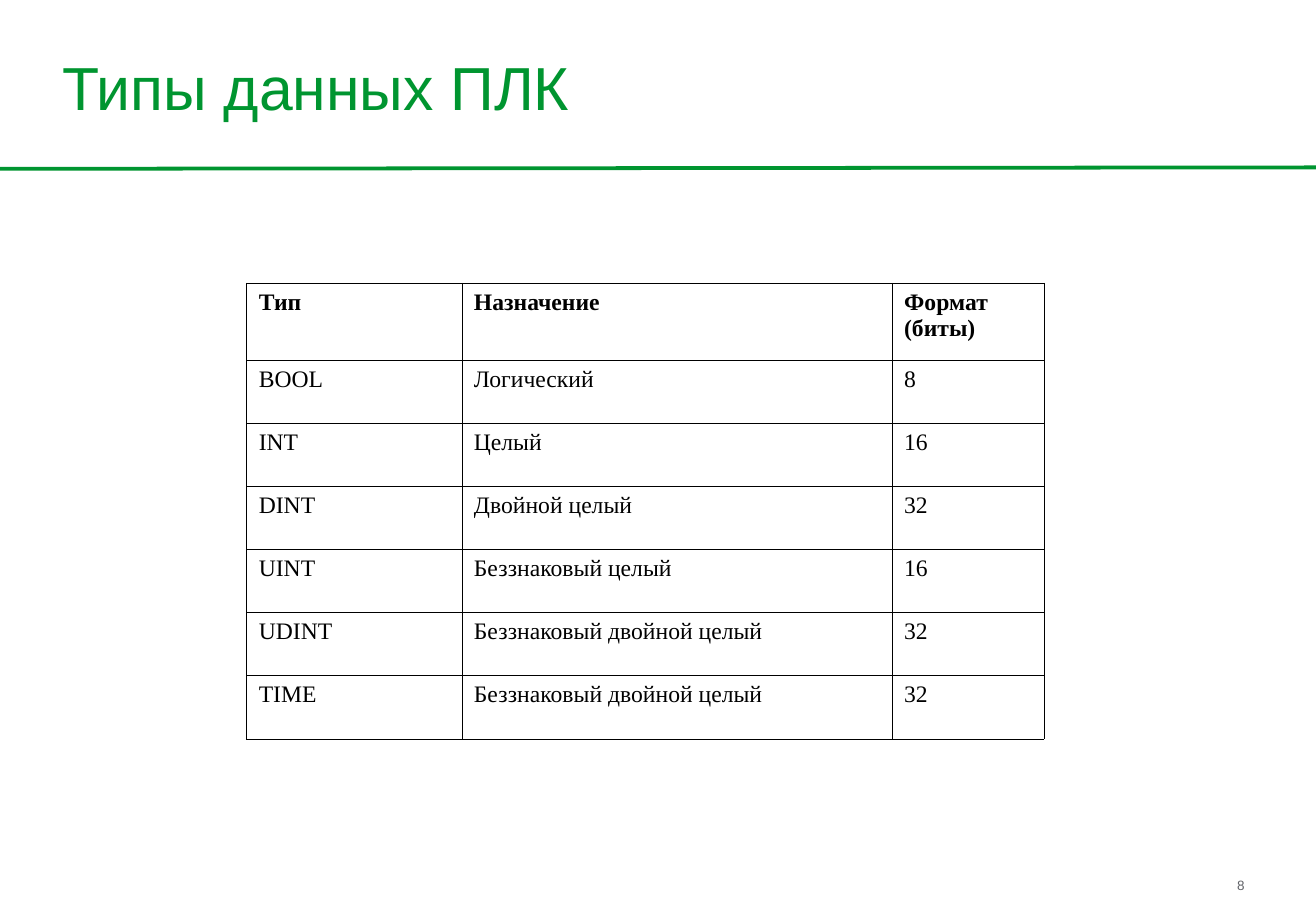
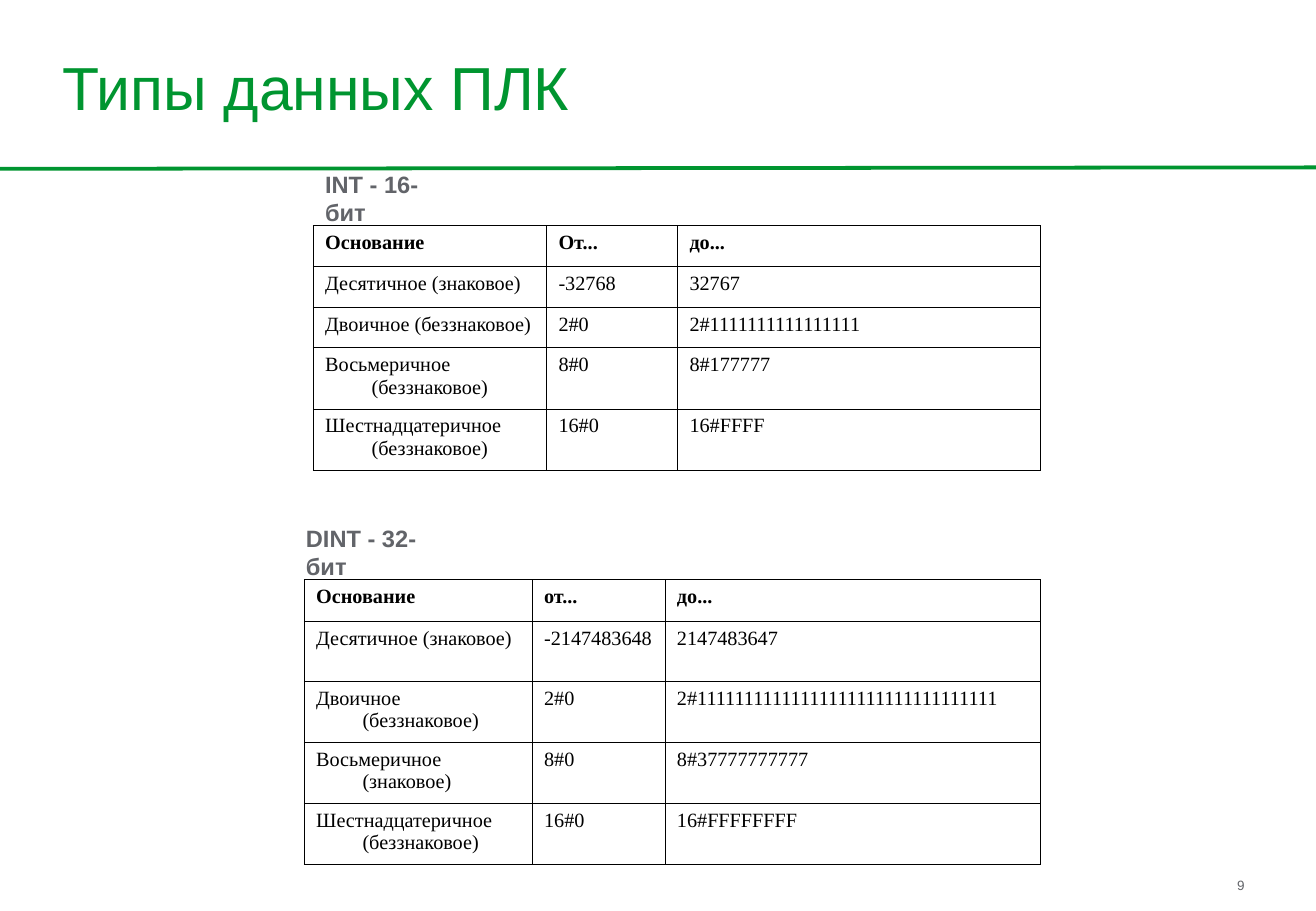
from lxml.etree import SubElement
from pptx import Presentation
from pptx.dml.color import RGBColor
from pptx.enum.shapes import MSO_CONNECTOR
from pptx.enum.text import MSO_ANCHOR, MSO_AUTO_SIZE, PP_ALIGN
from pptx.oxml.ns import qn
from pptx.util import Cm, Pt

# Content; lengths are in centimetres
COLORS = {"green": "009530", "gray": "626469", "black": "000000"}
SLIDE_SIZE = (27.53, 19.05)
TITLE = "Типы данных ПЛК"

TYPES = {
    "at": (5.16, 5.92), "columns": (4.5, 9, 3.18), "size": 14,
    "row_heights": [1.61] + [1.32] * 6,
    "rows": [
        ("Тип", "Назначение", "Формат\n(биты)"),
        ("BOOL", "Логический", "8"),
        ("INT", "Целый", "16"),
        ("DINT", "Двойной целый", "32"),
        ("UINT", "Беззнаковый целый", "16"),
        ("UDINT", "Беззнаковый двойной целый", "32"),
        ("TIME", "Беззнаковый двойной целый", "32"),
    ],
}
INT_RANGES = {
    "caption": ("INT - 16-бит", (6.55, 3.71, 3.3, 0.86)),
    "at": (6.55, 4.72), "columns": (4.88, 2.74, 7.6), "size": 12,
    "row_heights": [0.85] * 3 + [1.28] * 2,
    "rows": [
        ("Основание", "От...", "до..."),
        ("Десятичное (знаковое)", "-32768", "32767"),
        ("Двоичное (беззнаковое)", "2#0", "2#1111111111111111"),
        ("Восьмеричное (беззнаковое)", "8#0", "8#177777"),
        ("Шестнадцатеричное (беззнаковое)", "16#0", "16#FFFF"),
    ],
}
DINT_RANGES = {
    "caption": ("DINT - 32-бит", (6.15, 11.12, 3.66, 0.86)),
    "at": (6.36, 12.12), "columns": (4.77, 2.78, 7.85), "size": 12,
    "row_heights": [0.88, 1.24] + [1.28] * 3,
    "rows": [
        ("Основание", "от...", "до..."),
        ("Десятичное (знаковое)", "-2147483648", "2147483647"),
        ("Двоичное (беззнаковое)", "2#0", "2#11111111111111111111111111111111"),
        ("Восьмеричное (знаковое)", "8#0", "8#37777777777"),
        ("Шестнадцатеричное (беззнаковое)", "16#0", "16#FFFFFFFF"),
    ],
}
SLIDES = [(8, [TYPES]), (9, [INT_RANGES, DINT_RANGES])]


def lengths(values):
    return [Cm(value) for value in values]


def write(frame, text, size, color, font="Arial", bold=False,
          anchor=MSO_ANCHOR.TOP, margins=(0.25, 0.13), hanging=0, wrap=True):
    """Fill a text frame; each line of text becomes a paragraph."""
    frame.text = text
    frame.word_wrap = wrap
    frame.vertical_anchor = anchor
    frame.margin_left = frame.margin_right = Cm(margins[0])
    frame.margin_top = frame.margin_bottom = Cm(margins[1])
    for paragraph in frame.paragraphs:
        paragraph.alignment = PP_ALIGN.LEFT
        if hanging:
            properties = paragraph._p.get_or_add_pPr()
            properties.set("marL", str(Cm(hanging)))
            properties.set("indent", str(-Cm(hanging)))
        for run in paragraph.runs:
            run.font.name = font
            run.font.size = Pt(size)
            run.font.bold = bold
            run.font.color.rgb = RGBColor.from_string(COLORS[color])


def add_label(slide, text, place, **style):
    label = slide.shapes.add_textbox(*lengths(place))
    write(label.text_frame, text, **style)


def add_border(cell):
    properties = cell._tc.get_or_add_tcPr()
    for side in ("a:lnL", "a:lnR", "a:lnT", "a:lnB"):
        line = SubElement(properties, qn(side), w=str(Pt(0.34)))
        fill = SubElement(line, qn("a:solidFill"))
        SubElement(fill, qn("a:srgbClr"), val=COLORS["black"])


def add_data_table(slide, data):
    rows, columns, heights = data["rows"], data["columns"], data["row_heights"]
    place = (*data["at"], sum(columns), sum(heights))
    table = slide.shapes.add_table(len(rows), len(columns), *lengths(place)).table
    table.first_row = table.horz_banding = False
    for column, width in zip(table.columns, columns):
        column.width = Cm(width)
    for row, height in zip(table.rows, heights):
        row.height = Cm(height)
    for row_index, texts in enumerate(rows):
        for column_index, text in enumerate(texts):
            cell = table.cell(row_index, column_index)
            write(cell.text_frame, text, size=data["size"], color="black",
                  font="Times New Roman", bold=row_index == 0, hanging=0.97)
            add_border(cell)
            cell.fill.background()
    if "caption" in data:
        text, caption_place = data["caption"]
        add_label(slide, text, caption_place, size=14, color="gray", bold=True,
                  anchor=MSO_ANCHOR.MIDDLE, wrap=False)


def add_titled_slide(presentation, number):
    slide = presentation.slides.add_slide(presentation.slide_layouts[5])
    # Title
    title = slide.shapes.title
    title.left, title.top, title.width, title.height = lengths((1.3, 0.2, 24.92, 3.2))
    write(title.text_frame, TITLE, size=36, color="green",
          anchor=MSO_ANCHOR.MIDDLE, margins=(0, 0.03))
    title.text_frame.auto_size = MSO_AUTO_SIZE.NONE
    # Rule under the title
    rule = slide.shapes.add_connector(
        MSO_CONNECTOR.STRAIGHT, *lengths((0, 3.53, SLIDE_SIZE[0], 3.5)))
    rule.line.color.rgb = RGBColor.from_string(COLORS["green"])
    rule.line.width = Pt(2.24)
    SubElement(rule._element.spPr, qn("a:effectLst"))
    # Page number
    add_label(slide, str(number), (25.88, 18.34, 0.86, 0.2),
              size=8, color="gray", margins=(0, 0))
    return slide


presentation = Presentation()
presentation.slide_width, presentation.slide_height = lengths(SLIDE_SIZE)
for number, tables in SLIDES:
    slide = add_titled_slide(presentation, number)
    for data in tables:
        add_data_table(slide, data)
presentation.save("out.pptx")
